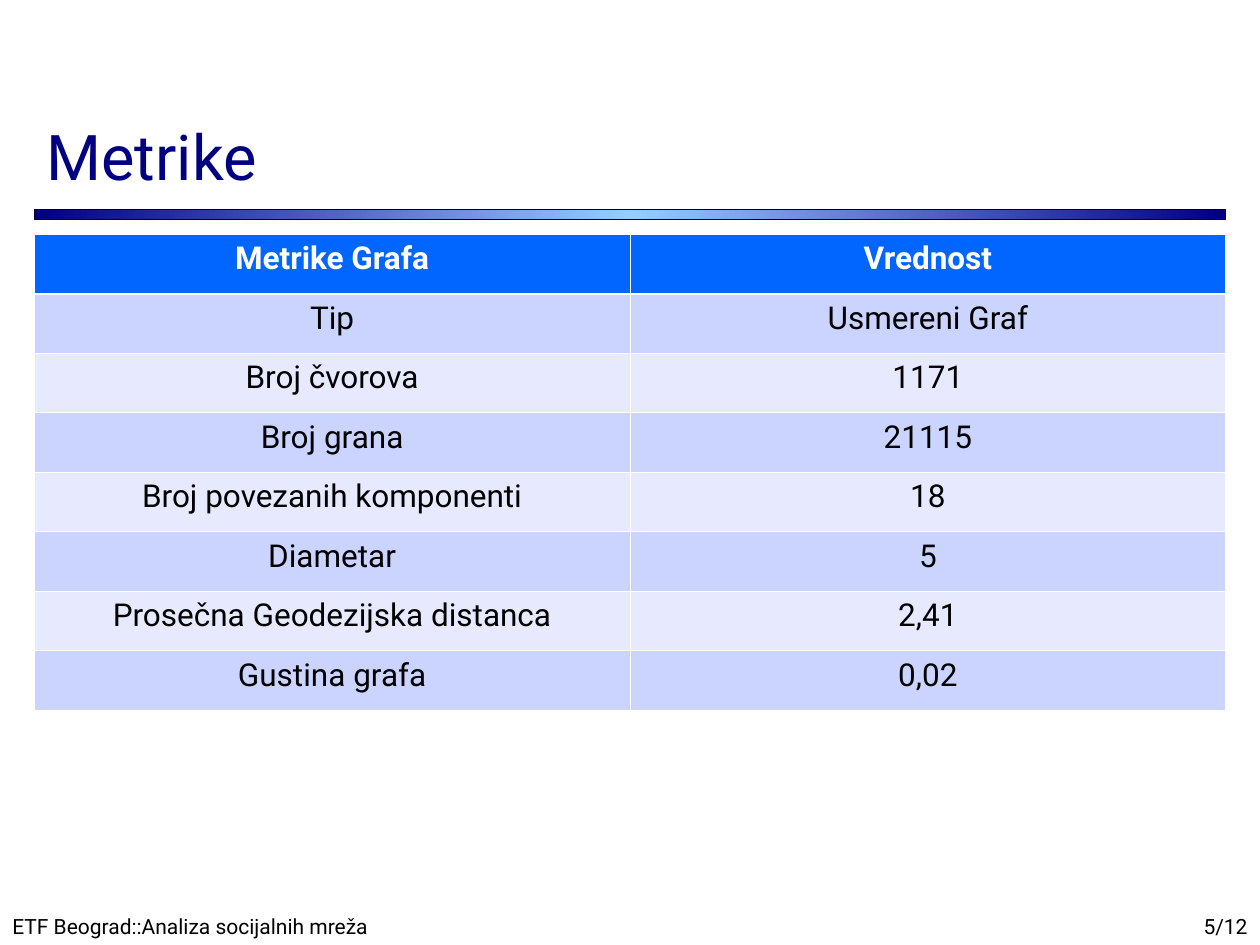
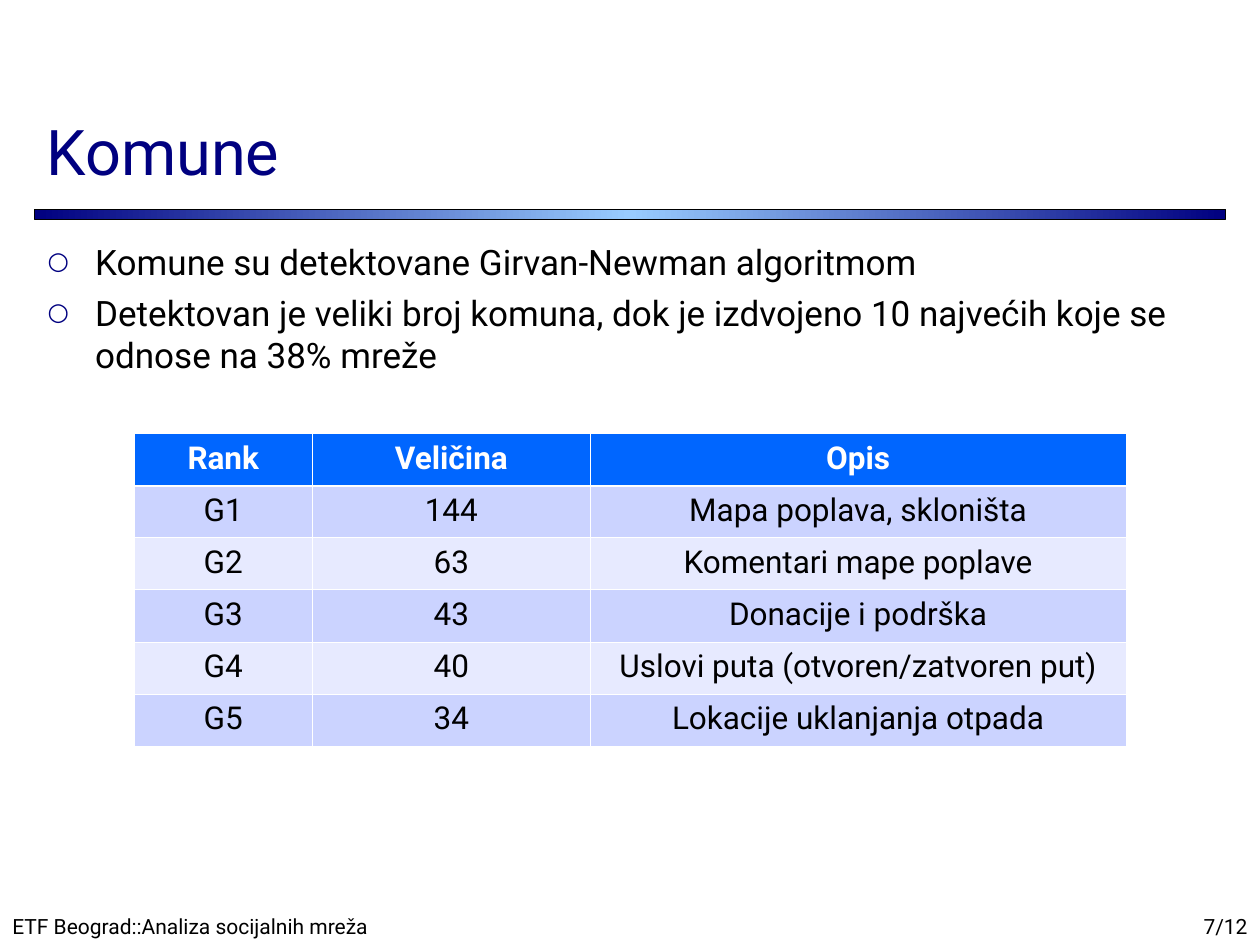
from copy import deepcopy

from lxml import etree
from pptx import Presentation
from pptx.dml.color import RGBColor
from pptx.enum.shapes import MSO_SHAPE
from pptx.enum.text import MSO_ANCHOR, PP_ALIGN
from pptx.oxml.ns import qn
from pptx.util import Cm, Pt

LEFT, CENTER, RIGHT = PP_ALIGN.LEFT, PP_ALIGN.CENTER, PP_ALIGN.RIGHT
TOP, BOTTOM = MSO_ANCHOR.TOP, MSO_ANCHOR.BOTTOM
RECTANGLE = MSO_SHAPE.RECTANGLE

NAVY = RGBColor(0x00, 0x00, 0x80)
SKY = RGBColor(0x99, 0xCC, 0xFF)
BLUE = RGBColor(0x00, 0x66, 0xFF)
DARK_BAND = RGBColor(0xCB, 0xD3, 0xFF)
LIGHT_BAND = RGBColor(0xE7, 0xEA, 0xFF)
BLACK = RGBColor(0x00, 0x00, 0x00)
WHITE = RGBColor(0xFF, 0xFF, 0xFF)

FONT = "Roboto"
TITLE = {"size": Pt(36), "color": NAVY}
BODY = {"size": Pt(20), "color": BLACK}
FOOTER = {"size": Pt(12), "color": BLACK}
HEADER_CELL = {"size": Pt(18), "color": WHITE, "bold": True}
VALUE_CELL = {"size": Pt(18), "color": BLACK, "bold": False}

SLIDE_W, SLIDE_H = 25.4, 19.05
MARGIN = 0.69
CONTENT_W = 24.02
CONTENT_TOP = 4.72
THIN, THICK = Pt(0.45), Pt(1.47)

COURSE = "ETF Beograd::Analiza socijalnih mreža"
SLIDE_COUNT = 12

METRICS = [
    ("Metrike Grafa", "Vrednost"),
    ("Tip", "Usmereni Graf"),
    ("Broj čvorova", "1171"),
    ("Broj grana", "21115"),
    ("Broj povezanih komponenti", "18"),
    ("Diametar", "5"),
    ("Prosečna Geodezijska distanca", "2,41"),
    ("Gustina grafa", "0,02"),
]
COMMUNITIES = [
    ("Rank", "Veličina", "Opis"),
    ("G1", "144", "Mapa poplava, skloništa"),
    ("G2", "63", "Komentari mape poplave"),
    ("G3", "43", "Donacije i podrška"),
    ("G4", "40", "Uslovi puta (otvoren/zatvoren put)"),
    ("G5", "34", "Lokacije uklanjanja otpada"),
]
FINDINGS = [
    "Komune su detektovane Girvan-Newman algoritmom",
    "Detektovan je veliki broj komuna, dok je izdvojeno 10 najvećih "
    "koje se odnose na 38% mreže",
]


def write(paragraph, text, style, align=LEFT):
    paragraph.alignment = align
    run = paragraph.add_run()
    run.text = text
    run.font.name = FONT
    for key, value in style.items():
        if key == "color":
            run.font.color.rgb = value
        else:
            setattr(run.font, key, value)


def add_text(slide, box, lines, style, align=LEFT, anchor=TOP):
    frame = slide.shapes.add_textbox(*map(Cm, box)).text_frame
    frame.word_wrap = True
    frame.vertical_anchor = anchor
    for index, line in enumerate(lines):
        paragraph = frame.add_paragraph() if index else frame.paragraphs[0]
        write(paragraph, line, style, align)
    return frame


def add_band(slide, box):
    band = slide.shapes.add_shape(RECTANGLE, *map(Cm, box))
    band.shadow.inherit = False
    band.line.color.rgb = BLACK
    band.line.width = Pt(0.75)
    band.fill.gradient()
    band.fill.gradient_angle = 0
    stops = band.fill._xPr.find(".//" + qn("a:gsLst"))
    stops.append(deepcopy(stops[-1]))
    for stop, position, color in zip(
        band.fill.gradient_stops, (0, 0.5, 1), (NAVY, SKY, NAVY)
    ):
        stop.position = position
        stop.color.rgb = color


def add_frame(slide, title, title_height, number):
    add_band(slide, (MARGIN, 4.22, CONTENT_W, 0.2))
    add_text(slide, (MARGIN, 0, CONTENT_W, title_height), [title], TITLE,
             anchor=BOTTOM)
    height, number_width = 1.27, 2.69
    top = SLIDE_H - height
    add_text(slide, (SLIDE_W - number_width, top, number_width, height),
             [f"{number}/{SLIDE_COUNT}"], FOOTER, RIGHT, BOTTOM)
    add_text(slide, (0, top, 14.3, height), [COURSE], FOOTER, anchor=BOTTOM)


def add_bullets(slide, box, lines):
    frame = add_text(slide, box, lines, BODY)
    for paragraph in frame.paragraphs:
        paragraph.space_before = Pt(5)
        properties = paragraph._p.get_or_add_pPr()
        properties.set("marL", str(Cm(0.96)))
        properties.set("indent", str(-Cm(0.96)))
        color = etree.SubElement(properties, qn("a:buClr"))
        etree.SubElement(color, qn("a:srgbClr"), val=str(NAVY))
        etree.SubElement(properties, qn("a:buSzPct"), val="70000")
        etree.SubElement(properties, qn("a:buFont"), typeface=FONT)
        etree.SubElement(properties, qn("a:buChar"), char="○")


def add_borders(cell, row_index):
    widths = {
        "a:lnL": THIN,
        "a:lnR": THIN,
        "a:lnT": THICK if row_index == 1 else THIN,
        "a:lnB": THICK if row_index == 0 else THIN,
    }
    properties = cell._tc.get_or_add_tcPr()
    for edge, width in widths.items():
        line = etree.SubElement(properties, qn(edge), w=str(width))
        fill = etree.SubElement(line, qn("a:solidFill"))
        etree.SubElement(fill, qn("a:srgbClr"), val=str(WHITE))


def add_grid(slide, left, top, widths, row_height, records):
    grid = slide.shapes.add_table(
        len(records), len(widths), Cm(left), Cm(top),
        Cm(sum(widths)), Cm(row_height * len(records))
    ).table
    for column, width in zip(grid.columns, widths):
        column.width = Cm(width)
    for row_index, record in enumerate(records):
        grid.rows[row_index].height = Cm(row_height)
        style = VALUE_CELL if row_index else HEADER_CELL
        band = DARK_BAND if row_index % 2 else LIGHT_BAND
        for column_index, text in enumerate(record):
            cell = grid.cell(row_index, column_index)
            add_borders(cell, row_index)
            cell.fill.solid()
            cell.fill.fore_color.rgb = band if row_index else BLUE
            write(cell.text_frame.paragraphs[0], text, style, CENTER)


def build_metrics(slide):
    add_frame(slide, "Metrike", 4.01, 5)
    add_grid(slide, MARGIN, CONTENT_TOP, [CONTENT_W / 2] * 2, 1.2, METRICS)


def build_communities(slide):
    add_frame(slide, "Komune", 3.92, 7)
    add_bullets(slide, (0.71, CONTENT_TOP, 24, 13.06), FINDINGS)
    add_grid(slide, 2.7, 8.74, [3.6, 5.6, 10.8], 1.05, COMMUNITIES)


def main():
    deck = Presentation()
    deck.slide_width, deck.slide_height = Cm(SLIDE_W), Cm(SLIDE_H)
    blank = deck.slide_layouts[6]
    for build in (build_metrics, build_communities):
        build(deck.slides.add_slide(blank))
    deck.save("out.pptx")


if __name__ == "__main__":
    main()
